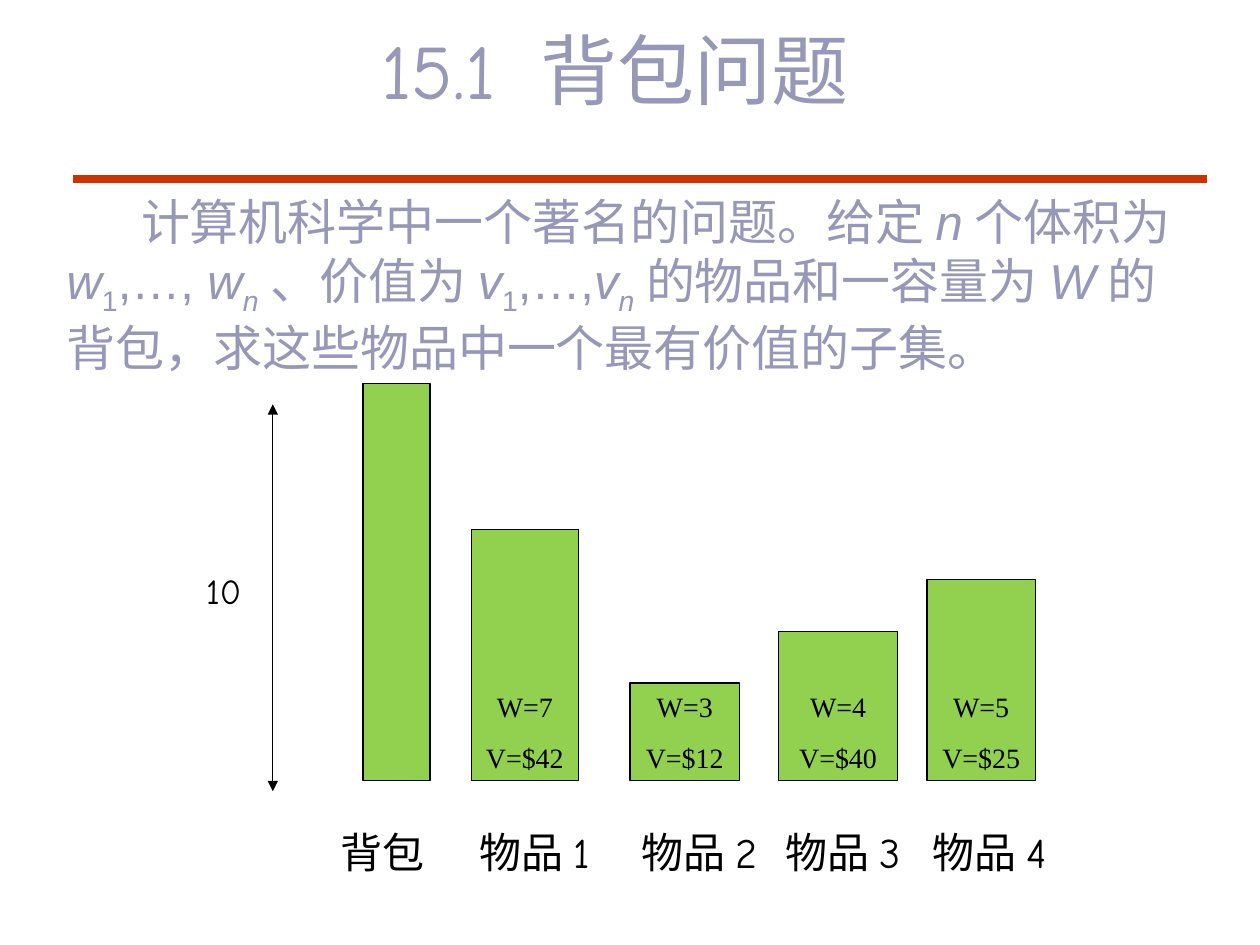
from typing import NamedTuple

from pptx import Presentation
from pptx.dml.color import RGBColor
from pptx.enum.shapes import MSO_CONNECTOR, MSO_SHAPE
from pptx.enum.text import MSO_ANCHOR, MSO_AUTO_SIZE, PP_ALIGN
from pptx.oxml.ns import qn
from pptx.util import Cm, Pt

LINE = MSO_CONNECTOR.STRAIGHT
RECT = MSO_SHAPE.RECTANGLE
CENTER, LEFT = PP_ALIGN.CENTER, PP_ALIGN.LEFT
BOTTOM, MIDDLE, TOP = MSO_ANCHOR.BOTTOM, MSO_ANCHOR.MIDDLE, MSO_ANCHOR.TOP

LAVENDER = RGBColor(0x97, 0x97, 0xB7)
RED = RGBColor(0xCC, 0x33, 0x00)
GREEN = RGBColor(0x92, 0xD0, 0x50)
BLACK = RGBColor(0, 0, 0)

HEADING_FONT, BODY_FONT, BAR_FONT = "Comic Neue", "Arial", "Times New Roman"
BASELINE = 15.73  # common bottom of all bars, cm
LABEL_TOP, LABEL_WIDTH, LABEL_HEIGHT = 16.54, 3.2, 1.27


class Bar(NamedTuple):
    label: str
    label_center: float
    left: float
    width: float
    height: float
    text: str = ""


BARS = [
    Bar("背包", 7.72, 7.32, 1.35, 8),
    Bar("物品1", 10.78, 9.5, 2.16, 5.06, "W=7\nV=$42"),
    Bar("物品2", 14.1, 12.7, 2.21, 1.96, "W=3\nV=$12"),
    Bar("物品3", 16.99, 15.7, 2.39, 3, "W=4\nV=$40"),
    Bar("物品4", 19.95, 18.69, 2.18, 4.04, "W=5\nV=$25"),
]


class Piece(NamedTuple):
    text: str
    italic: bool = False
    subscript: bool = False


PROBLEM = [
    Piece("计算机科学中一个著名的问题。给定"), Piece("n", True),
    Piece("个体积为"), Piece("w", True), Piece("1", False, True),
    Piece(",…, "), Piece("w", True), Piece("n", True, True),
    Piece("、价值为"), Piece("v", True), Piece("1", False, True),
    Piece(",…,"), Piece("v", True), Piece("n", True, True),
    Piece("的物品和一容量为"), Piece("W", True),
    Piece("的背包，求这些物品中一个最有价值的子集。"),
]


def place(sp, left: float, top: float, width: float, height: float) -> None:
    sp.left, sp.top, sp.width, sp.height = map(Cm, (left, top, width, height))


def style_font(font, name: str, size: float, color: RGBColor) -> None:
    font.name, font.size = name, Pt(size)
    font.color.rgb = color


def style_frame(tf, anchor) -> None:
    tf.word_wrap = True
    tf.auto_size = MSO_AUTO_SIZE.NONE
    tf.vertical_anchor = anchor


def add_line(s, x1: float, y1: float, x2: float, y2: float,
             color: RGBColor, width: float, arrows: bool = False) -> None:
    line = s.shapes.add_connector(LINE, Cm(x1), Cm(y1), Cm(x2), Cm(y2))
    line.line.color.rgb = color
    line.line.width = Pt(width)
    props = line._element.spPr
    if arrows:
        ln = props.find(qn("a:ln"))
        for end in ("a:headEnd", "a:tailEnd"):
            ln.append(ln.makeelement(qn(end), {"type": "triangle"}))
    props.append(props.makeelement(qn("a:effectLst"), {}))


def add_label(s, text: str, center: float, top: float, width: float,
              height: float, size: float) -> None:
    box = s.shapes.add_textbox(Cm(center - width / 2), Cm(top),
                               Cm(width), Cm(height))
    tf = box.text_frame
    style_frame(tf, TOP)
    tf.text = text
    p = tf.paragraphs[0]
    p.alignment = CENTER
    style_font(p.runs[0].font, HEADING_FONT, size, BLACK)


def add_bar(s, bar: Bar) -> None:
    sp = s.shapes.add_shape(RECT, Cm(bar.left), Cm(BASELINE - bar.height),
                            Cm(bar.width), Cm(bar.height))
    sp.shadow.inherit = False
    sp.fill.solid()
    sp.fill.fore_color.rgb = GREEN
    sp.line.color.rgb = BLACK
    sp.line.width = Pt(0.75)
    if bar.text:
        tf = sp.text_frame
        style_frame(tf, BOTTOM)
        tf.text = bar.text
        for i, p in enumerate(tf.paragraphs):
            p.alignment = CENTER
            p.space_before = Pt(10 if i else 0)
            style_font(p.runs[0].font, BAR_FONT, 16, BLACK)
    add_label(s, bar.label, bar.label_center, LABEL_TOP,
              LABEL_WIDTH, LABEL_HEIGHT, 24)


def fill_title(title) -> None:
    place(title, 1.5, 0.33, 21.79, 2.11)
    tf = title.text_frame
    style_frame(tf, MIDDLE)
    tf.text = "15.1 背包问题"
    p = tf.paragraphs[0]
    p.alignment = CENTER
    style_font(p.runs[0].font, HEADING_FONT, 44, LAVENDER)


def fill_body(body) -> None:
    place(body, 1.09, 3.73, 23.39, 4.8)
    tf = body.text_frame
    style_frame(tf, TOP)
    p = tf.paragraphs[0]
    p.alignment = LEFT
    p.space_before = Pt(0)
    # First-line indent without a bullet
    props = p._p.get_or_add_pPr()
    props.set("marL", "0")
    props.set("indent", str(Cm(1.5)))
    props.append(props.makeelement(qn("a:buNone"), {}))
    for piece in PROBLEM:
        r = p.add_run()
        r.text = piece.text
        style_font(r.font, BODY_FONT, 28, LAVENDER)
        r.font.italic = piece.italic
        if piece.subscript:
            r._r.get_or_add_rPr().set("baseline", "-25000")


def main() -> None:
    prs = Presentation()
    prs.slide_width, prs.slide_height = Cm(25.4), Cm(19.05)
    s = prs.slides.add_slide(prs.slide_layouts[1])

    # Heading, rule and problem statement
    fill_title(s.shapes.title)
    fill_body(s.placeholders[1])
    add_line(s, 1.48, 3.6, 24.33, 3.6, RED, 4.5)

    # Capacity arrow
    add_line(s, 5.5, 8.15, 5.5, 15.95, BLACK, 0.75, arrows=True)
    add_label(s, "10", 4.51, 11.35, 1.6, 1.12, 20)

    # Knapsack and items
    for bar in BARS:
        add_bar(s, bar)

    prs.save("out.pptx")


if __name__ == "__main__":
    main()
